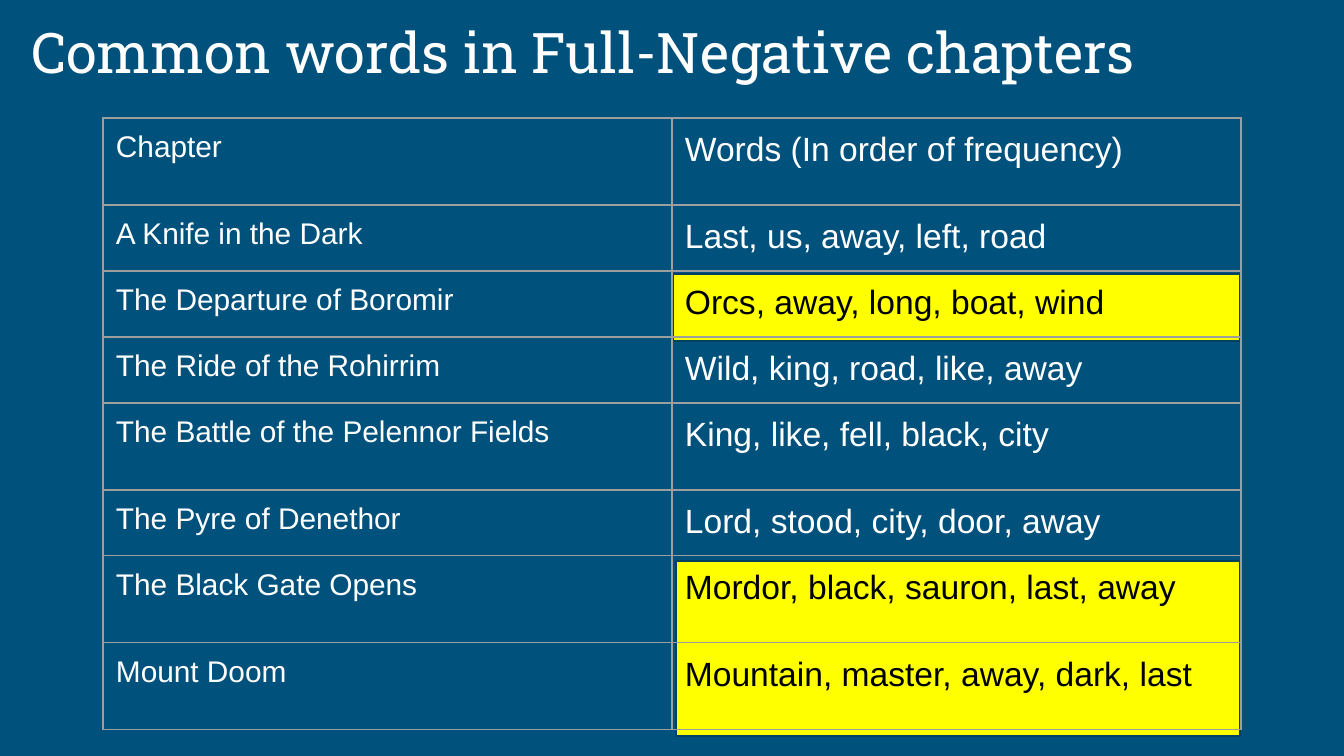
from dataclasses import dataclass

from lxml import etree
from pptx import Presentation
from pptx import util as u
from pptx.dml.color import RGBColor
from pptx.enum import shapes, text
from pptx.oxml.ns import qn

EMU_PER_PX = 914400 / 134.4
PAD = 13
SHORT, TALL = 66, 87
COLUMN = 569


def px(n):
    return u.Emu(round(n * EMU_PER_PX))


@dataclass(frozen=True)
class Theme:
    back: str = "00517C"
    light: str = "FFFFFF"
    dark: str = "000000"
    mark: str = "FFFF00"
    edge: str = "004065"
    grid: str = "9E9E9E"
    title_font: str = "Roboto Slab"
    body_font: str = "Arial"
    title_size: int = 30
    chapter_size: int = 16
    words_size: int = 18
    line: float = 0.75


class Deck:
    def __init__(self, theme):
        self.theme = theme
        self.prs = Presentation()
        self.prs.slide_width, self.prs.slide_height = px(1344), px(756)
        self.s = self.prs.slides.add_slide(self.prs.slide_layouts[5])
        fill = self.s.background.fill
        fill.solid()
        fill.fore_color.rgb = RGBColor.from_string(theme.back)

    def add_words(self, tf, words, color, **fmt):
        p = tf.paragraphs[0]
        r = p.add_run()
        r.text = words
        for key, value in {"bold": False, **fmt}.items():
            setattr(r.font, key, value)
        r.font.color.rgb = RGBColor.from_string(color)
        return p

    def title(self, words, x, y, w, h):
        sp = self.s.shapes.title
        sp.left, sp.top, sp.width, sp.height = map(px, (x, y, w, h))
        tf = sp.text_frame
        fmt = {"word_wrap": True, "auto_size": text.MSO_AUTO_SIZE.NONE,
               "vertical_anchor": text.MSO_ANCHOR.MIDDLE}
        fmt.update({f"margin_{side}": px(PAD) for side in ("left", "right", "top", "bottom")})
        for key, value in fmt.items():
            setattr(tf, key, value)
        p = self.add_words(tf, words, self.theme.light, name=self.theme.title_font,
                           size=u.Pt(self.theme.title_size))
        p.alignment = text.PP_ALIGN.CENTER

    def highlight(self, x, y, w, h):
        sp = self.s.shapes.add_shape(shapes.MSO_SHAPE.RECTANGLE, *map(px, (x, y, w, h)))
        sp.shadow.inherit = False
        sp.fill.solid()
        sp.fill.fore_color.rgb = RGBColor.from_string(self.theme.mark)
        sp.line.color.rgb = RGBColor.from_string(self.theme.edge)
        sp.line.width = u.Pt(self.theme.line)

    def borders(self, cell):
        tcPr = cell._tc.get_or_add_tcPr()
        for tag in ("a:lnL", "a:lnR", "a:lnT", "a:lnB"):
            ln = etree.SubElement(tcPr, qn(tag), w=str(u.Pt(self.theme.line)))
            solid = etree.SubElement(ln, qn("a:solidFill"))
            etree.SubElement(solid, qn("a:srgbClr"), val=self.theme.grid)

    def table(self, rows, x, y, widths):
        t = self.theme
        frame = self.s.shapes.add_table(len(rows), len(widths), px(x), px(y),
                                        px(sum(widths)), px(sum(row[2] for row in rows)))
        tbl = frame.table
        tbl.first_row = tbl.horz_banding = False
        for col, width in zip(tbl.columns, widths):
            col.width = px(width)
        for i, (chapter, words, height, color) in enumerate(rows):
            tbl.rows[i].height = px(height)
            entries = ((chapter, t.chapter_size, t.light), (words, t.words_size, color))
            for j, (entry, size, ink) in enumerate(entries):
                cell = tbl.cell(i, j)
                for side in ("left", "right", "top", "bottom"):
                    setattr(cell, f"margin_{side}", px(PAD))
                self.borders(cell)
                cell.fill.background()
                self.add_words(cell.text_frame, entry, ink, name=t.body_font, size=u.Pt(size))


def main():
    theme = Theme()
    light, dark = theme.light, theme.dark
    rows = [
        ("Chapter", "Words (In order of frequency)", TALL, light),
        ("A Knife in the Dark", "Last, us, away, left, road", SHORT, light),
        ("The Departure of Boromir", "Orcs, away, long, boat, wind", SHORT, dark),
        ("The Ride of the Rohirrim", "Wild, king, road, like, away", SHORT, light),
        ("The Battle of the Pelennor Fields", "King, like, fell, black, city", TALL, light),
        ("The Pyre of Denethor", "Lord, stood, city, door, away", SHORT, light),
        ("The Black Gate Opens", "Mordor, black, sauron, last, away", TALL, dark),
        ("Mount Doom", "Mountain, master, away, dark, last", TALL, dark),
    ]
    deck = Deck(theme)
    deck.title("Common words in Full-Negative chapters", -86, -15, 1339, 133)
    deck.highlight(676, 561, 564, 175)
    deck.highlight(673, 274, 567, 67)
    deck.table(rows, 103, 118, [COLUMN, COLUMN])
    deck.prs.save("out.pptx")


if __name__ == "__main__":
    main()
